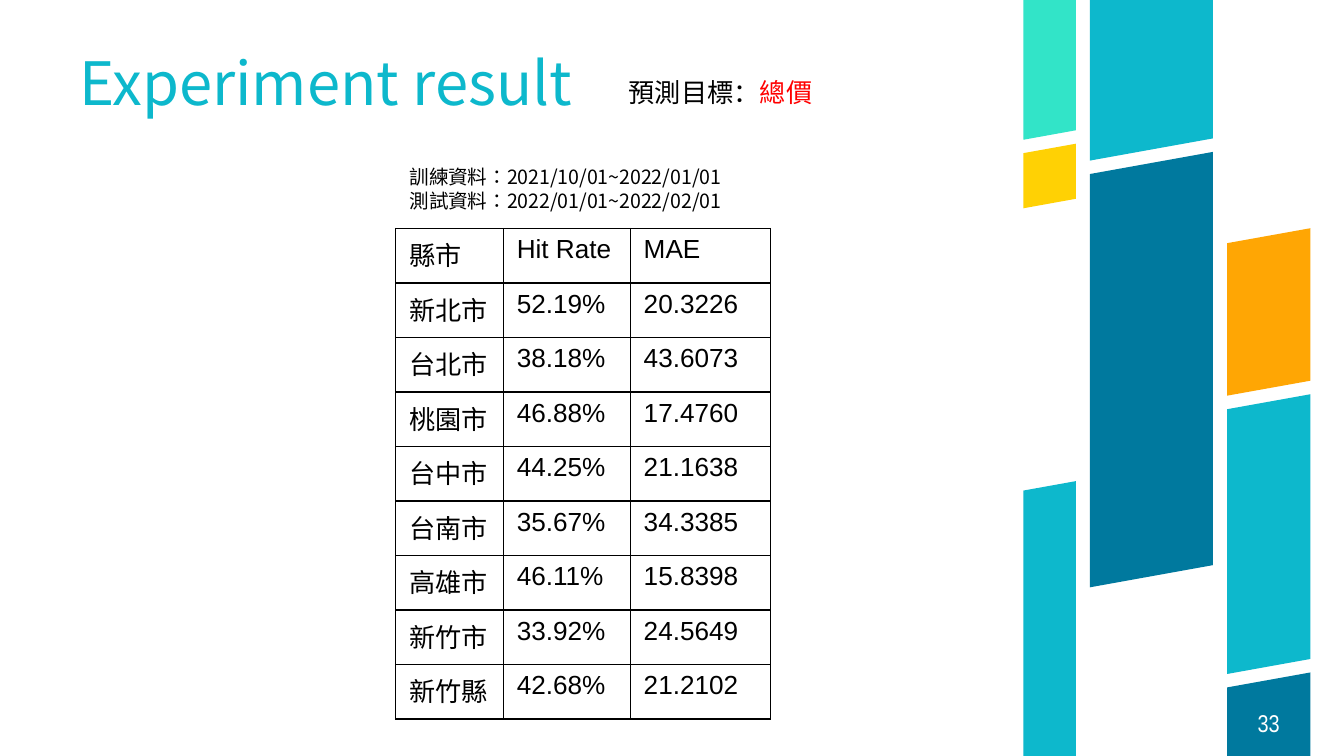
from lxml import etree
from pptx import Presentation
from pptx import util as u
from pptx.dml.color import RGBColor
from pptx.enum import lang, text
from pptx.oxml import ns

BLACK = RGBColor(0, 0, 0)
WHITE = RGBColor(0xFF, 0xFF, 0xFF)
RED = RGBColor(0xFF, 0, 0)
CYAN = RGBColor(0x0D, 0xB8, 0xCC)
BLUE = RGBColor(0x00, 0x79, 0x9E)
MINT = RGBColor(0x32, 0xE4, 0xC8)
YELLOW = RGBColor(0xFF, 0xD1, 0x04)
ORANGE = RGBColor(0xFF, 0xA6, 0x04)

WIDTH = u.Inches(10)
HEIGHT = WIDTH * 9 // 16
UNIT = WIDTH / 100  # grid step: one hundredth of the slide's width
BOTTOM = 56.25
SLOPE = 0.18

# Each band: left and width, then its ribbons as top, bottom (left side) and colour
BANDS = [
    ((76.15, 3.9), [(36.5, BOTTOM, CYAN), (11.4, 15.5, YELLOW), (0, 10.4, MINT)]),
    ((81.1, 9.15), [(12.95, 43.7, BLUE), (0, 11.95, CYAN)]),
    ((91.3, 6.2), [(18.1, 29.45, ORANGE), (51.15, BOTTOM, BLUE), (30.45, 50.15, CYAN)]),
]

RESULTS = [
    ("縣市", "Hit Rate", "MAE"),
    ("新北市", "52.19%", "20.3226"),
    ("台北市", "38.18%", "43.6073"),
    ("桃園市", "46.88%", "17.4760"),
    ("台中市", "44.25%", "21.1638"),
    ("台南市", "35.67%", "34.3385"),
    ("高雄市", "46.11%", "15.8398"),
    ("新竹市", "33.92%", "24.5649"),
    ("新竹縣", "42.68%", "21.2102"),
]
COLUMN_WIDTHS = (8, 9.45, 10.45)

TIGHT = {
    "margin_left": 0, "margin_top": 0, "margin_right": 0, "margin_bottom": 0,
    "word_wrap": True,
}
GROWING = {"word_wrap": False, "auto_size": text.MSO_AUTO_SIZE.SHAPE_TO_FIT_TEXT}


def grid(*lengths):
    """Turn grid steps into EMU."""
    return [round(length * UNIT) for length in lengths]


def add_run(paragraph, words, size, font, color, east_asian=None):
    run = paragraph.add_run()
    run.text = words
    for name, value in {"size": u.Pt(size), "name": font}.items():
        setattr(run.font, name, value)
    run.font.color.rgb = color
    if east_asian:
        run.font.language_id = lang.MSO_LANGUAGE_ID.TRADITIONAL_CHINESE
        etree.SubElement(run.font._element, ns.qn("a:ea"), typeface=east_asian)


def add_text(slide, box, lines, frame_format, paragraph_format=None):
    """Place a text box; each line is a list of run arguments."""
    frame = slide.shapes.add_textbox(*grid(*box)).text_frame
    for name, value in frame_format.items():
        setattr(frame, name, value)
    for index, runs in enumerate(lines):
        paragraph = frame.add_paragraph() if index else frame.paragraphs[0]
        for name, value in (paragraph_format or {}).items():
            setattr(paragraph, name, value)
        for run in runs:
            add_run(paragraph, *run)


def add_band(slide, left, width, ribbons):
    """Draw slanted ribbons in one column; ends on the slide's edges stay level."""
    def right_side(y):
        return y if y in (0, BOTTOM) else y - SLOPE * width

    right = left + width
    for top, bottom, color in ribbons:
        corners = [(left, top), (right, right_side(top)),
                   (right, right_side(bottom)), (left, bottom)]
        start, *rest = [grid(*corner) for corner in corners]
        builder = slide.shapes.build_freeform(*start)
        builder.add_line_segments(rest, close=True)
        ribbon = builder.convert_to_shape()
        ribbon.shadow.inherit = False
        ribbon.fill.solid()
        ribbon.fill.fore_color.rgb = color
        ribbon.line.fill.background()


def add_borders(cell):
    properties = cell._tc.get_or_add_tcPr()
    for side in ("lnL", "lnR", "lnT", "lnB"):
        line = etree.SubElement(properties, ns.qn(f"a:{side}"), w=str(u.Pt(0.75)))
        fill = etree.SubElement(line, ns.qn("a:solidFill"))
        etree.SubElement(fill, ns.qn("a:srgbClr"), val=str(BLACK))


def add_results(slide, left, top, height):
    box = grid(left, top, sum(COLUMN_WIDTHS), height)
    table = slide.shapes.add_table(len(RESULTS), len(COLUMN_WIDTHS), *box).table
    for option in ("first_row", "horz_banding"):
        setattr(table, option, False)
    for column, width in zip(table.columns, grid(*COLUMN_WIDTHS)):
        column.width = width
    for row, values in zip(table.rows, RESULTS):
        for cell, value in zip(row.cells, values):
            add_borders(cell)
            cell.fill.background()
            add_run(cell.text_frame.paragraphs[0], value, 14, "Arial", BLACK)


def add_headings(slide, left, top):
    """Place the title, the data periods and the prediction target."""
    add_text(slide, (left, top, 66.8, 4.4),
             [[("Experiment result", 32, "Noto Sans CJK SC", CYAN)]],
             {**TIGHT, "vertical_anchor": text.MSO_ANCHOR.BOTTOM},
             {"line_spacing": 0.9})

    periods = ("訓練資料：2021/10/01~2022/01/01", "測試資料：2022/01/01~2022/02/01")
    noto = "Noto Sans CJK TC"
    add_text(slide, (left + 23.6, top + 7.4, 27, 6.9),
             [[(period, 10.5, noto, BLACK, noto)] for period in periods], GROWING)
    add_text(slide, (left + 39.9, top + 0.8, 15.8, 3.4),
             [[("預測目標：", 14, "Arial", BLACK), ("總價", 14, "Arial", RED)]],
             GROWING)


def add_page_number(slide, box):
    add_text(slide, box, [[("33", 13, "Arial Narrow", WHITE)]],
             {**TIGHT, "vertical_anchor": text.MSO_ANCHOR.MIDDLE},
             {"alignment": text.PP_ALIGN.CENTER})


def main():
    deck = Presentation()
    deck.slide_width, deck.slide_height = WIDTH, HEIGHT
    slide = deck.slides.add_slide(deck.slide_layouts[6])
    for (left, width), ribbons in BANDS:
        add_band(slide, left, width, ribbons)
    add_page_number(slide, (91.3, 51.3, 6.2, 4.95))
    add_results(slide, 29.45, 17, 36.5)
    add_headings(slide, 5.9, 4.4)
    deck.save("out.pptx")


if __name__ == "__main__":
    main()
